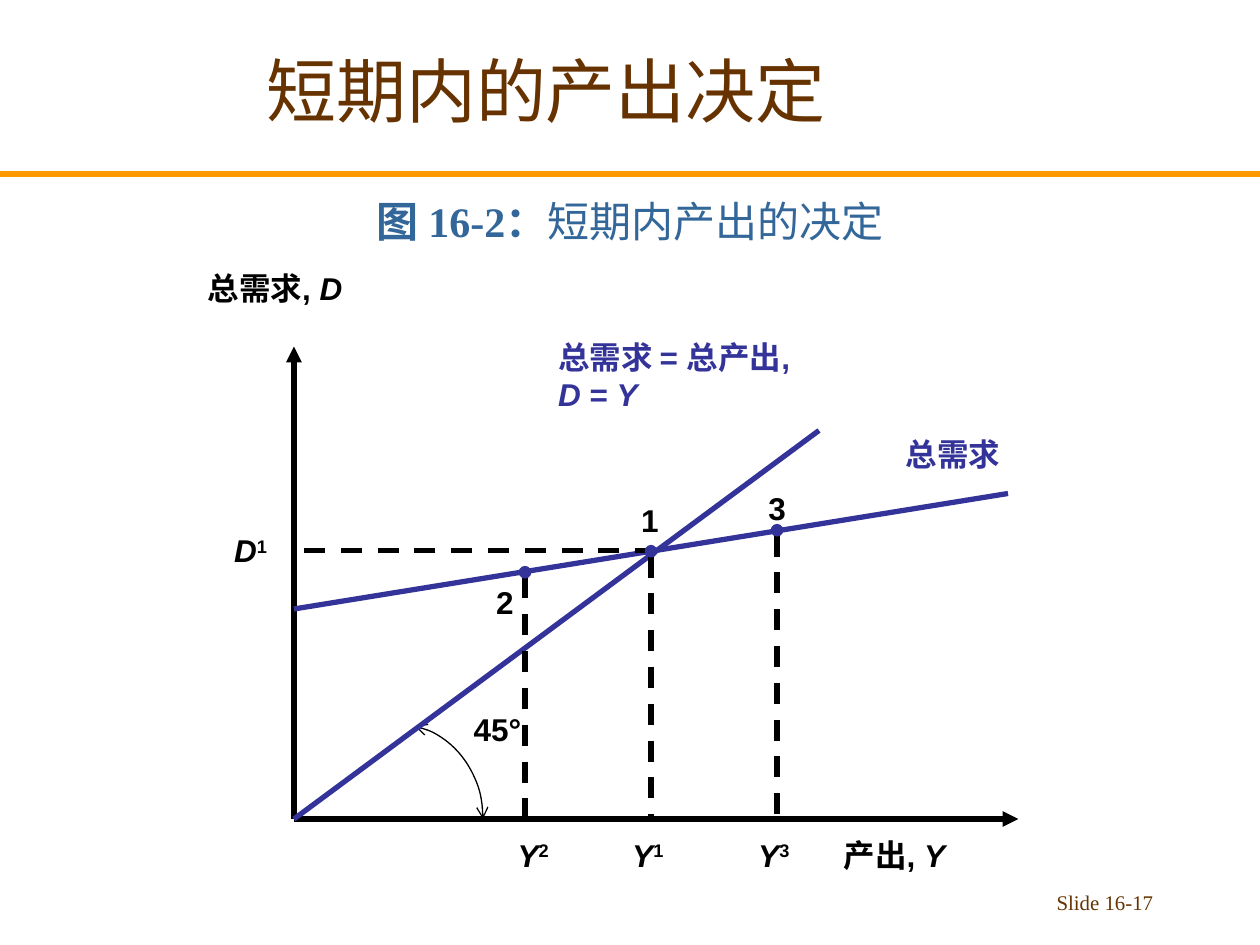
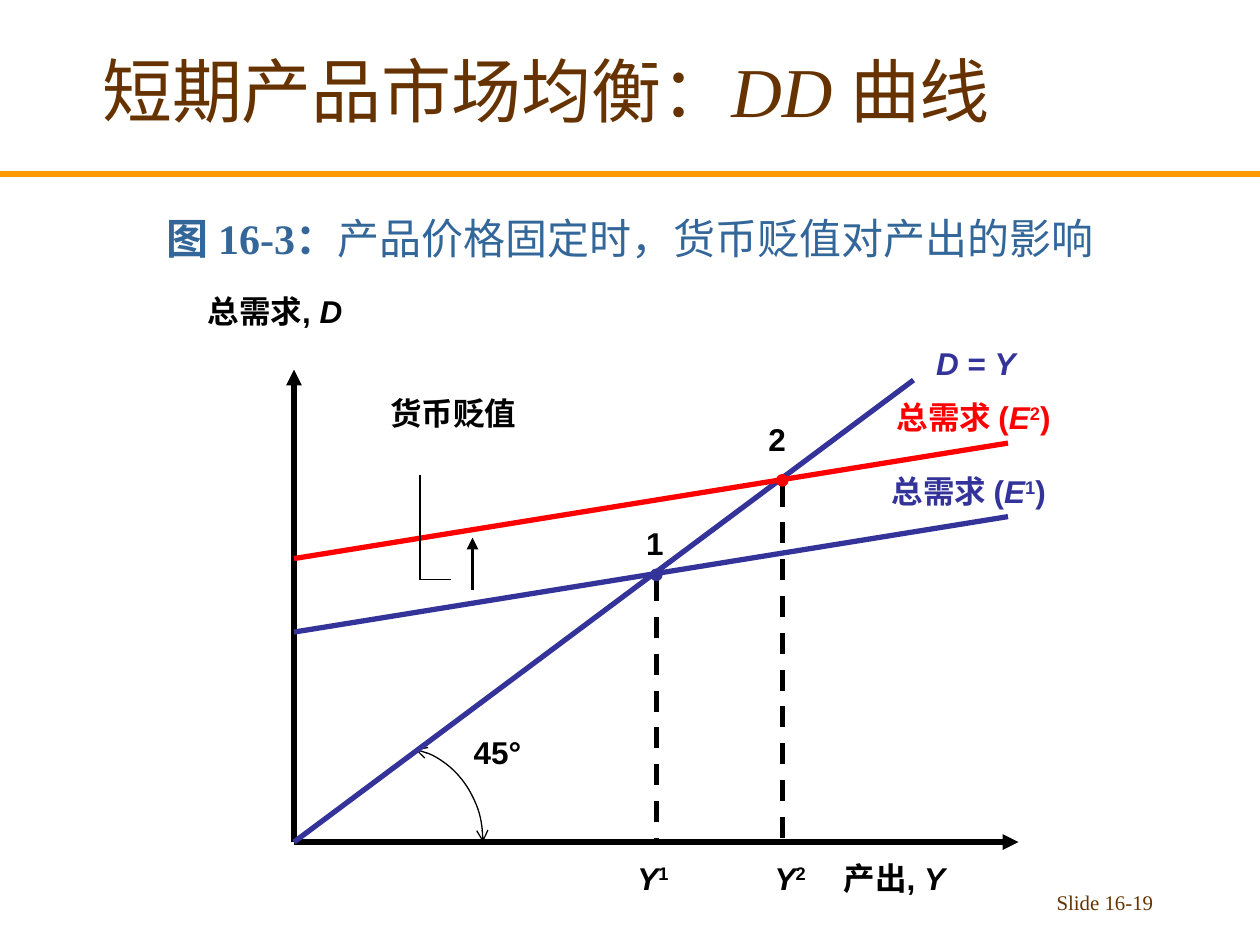
from lxml.etree import SubElement
from pptx import Presentation
from pptx.dml.color import RGBColor
from pptx.enum.dml import MSO_LINE
from pptx.enum.shapes import MSO_CONNECTOR, MSO_SHAPE
from pptx.enum.text import MSO_ANCHOR, PP_ALIGN
from pptx.oxml.ns import qn
from pptx.util import Pt

BLACK = RGBColor(0x00, 0x00, 0x00)
BROWN = RGBColor(0x66, 0x33, 0x00)
ORANGE = RGBColor(0xFF, 0x99, 0x00)
STEEL = RGBColor(0x33, 0x66, 0x99)
INDIGO = RGBColor(0x33, 0x33, 0x99)
RED = RGBColor(0xFF, 0x00, 0x00)

SERIF, SANS = "Times New Roman", "Arial"
TITLE_ONLY = 5
SLIDE_WIDTH, SLIDE_HEIGHT = 720, 540
AXIS_X, AXIS_END = 168, 582
AXIS_HEIGHT = 270
CURVE_END = 576
DOT_SIZE = 6.5
LABEL_HEIGHT = 28.8


def format_run(run, font_name, size, color, bold=False, italic=False):
    """Give a run its font, size, colour and style."""
    font = run.font
    font.name, font.size, font.bold, font.italic = font_name, Pt(size), bold, italic
    font.color.rgb = color


def add_text(slide, left, top, width, height, wrap=True):
    """Add an empty text box and return its text frame."""
    box = slide.shapes.add_textbox(Pt(left), Pt(top), Pt(width), Pt(height))
    box.text_frame.word_wrap = wrap
    return box.text_frame


def add_label(slide, left, top, width, *lines, color=BLACK):
    """Add a bold label; each line is a list of (text, style) parts."""
    frame = add_text(slide, left, top, width, LABEL_HEIGHT * len(lines), wrap=False)
    for index, parts in enumerate(lines):
        paragraph = frame.add_paragraph() if index else frame.paragraphs[0]
        for text, style in parts:
            run = paragraph.add_run()
            run.text = text
            format_run(run, SANS, 18, color, bold=True, italic=style == "italic")
            if style == "super":
                run.font._element.set("baseline", "30000")


def plain(text):
    """Return an upright label part."""
    return text, "plain"


def italic(text):
    """Return an italic label part."""
    return text, "italic"


def indexed(letter, index):
    """Return an italic letter followed by its superscript index."""
    return [italic(letter), (index, "super")]


def add_arrowhead(shape, end, kind):
    """Put an arrowhead on one end of a drawn line."""
    SubElement(shape.line._get_or_add_ln(), qn("a:" + end), type=kind)


def add_line(slide, start, end, color=BLACK, weight=3.0, dashed=False, arrow=False):
    """Draw a straight line between two points."""
    line = slide.shapes.add_connector(MSO_CONNECTOR.STRAIGHT, *map(Pt, start + end))
    line.line.color.rgb = color
    line.line.width = Pt(weight)
    if dashed:
        line.line.dash_style = MSO_LINE.DASH
    if arrow:
        add_arrowhead(line, "tailEnd", "triangle")
    SubElement(line._element.spPr, qn("a:effectLst"))


def add_dot(slide, x, y, color=INDIGO):
    """Mark an equilibrium point centred on x, y."""
    dot = slide.shapes.add_shape(
        MSO_SHAPE.OVAL, Pt(x - DOT_SIZE / 2), Pt(y - DOT_SIZE / 2), Pt(DOT_SIZE), Pt(DOT_SIZE))
    dot.shadow.inherit = False
    dot.fill.solid()
    dot.fill.fore_color.rgb = color
    dot.line.color.rgb = color
    dot.line.width = Pt(0.75)


def add_equilibrium(slide, x, y, base, number, number_at, output_left, color=INDIGO):
    """Drop a dashed line from a point to the output axis and label both."""
    add_line(slide, (x, y + 3), (x, base), dashed=True)
    add_dot(slide, x, y, color)
    add_label(slide, *number_at, 24.5, [plain(number)])
    add_label(slide, output_left, base + 6, 32.4, indexed("Y", number))


def add_angle(slide, base):
    """Draw the two-headed 45 degree arc at the origin."""
    radius_x, radius_y, center_x = 48, 54, 228
    arc = slide.shapes.add_shape(
        MSO_SHAPE.ARC, Pt(center_x - radius_x), Pt(base - radius_y),
        Pt(2 * radius_x), Pt(2 * radius_y))
    arc.adjustments[0] = 168
    arc.shadow.inherit = False
    arc.fill.background()
    arc.line.color.rgb = BLACK
    arc.line.width = Pt(0.75)
    add_arrowhead(arc, "headEnd", "arrow")
    add_arrowhead(arc, "tailEnd", "arrow")
    add_label(slide, 263.5, base - 66, 41.8, [plain("45°")])


def add_axes(slide, base):
    """Draw the demand and output axes with their names."""
    add_line(slide, (AXIS_X, base), (AXIS_X, base - AXIS_HEIGHT), arrow=True)
    add_line(slide, (AXIS_X, base), (AXIS_END, base), arrow=True)
    add_label(slide, 111.6, base - 318, 96, [plain("总需求, "), italic("D")])
    add_label(slide, 475, base + 6, 77, [plain("产出, "), italic("Y")])
    add_angle(slide, base)


def add_demand(slide, intercept, color=INDIGO):
    """Draw an aggregate demand line from its intercept."""
    add_line(slide, (AXIS_X, intercept), (CURVE_END, intercept - 66), color)


def add_figure_slide(deck, title_parts, figure, caption, caption_top, page):
    """Start a slide with its title, rule, caption and page number."""
    slide = deck.slides.add_slide(deck.slide_layouts[TITLE_ONLY])
    add_line(slide, (0, 99.5), (SLIDE_WIDTH, 99.5), ORANGE)

    title = slide.shapes.title
    title.left, title.top, title.width, title.height = Pt(6), Pt(6), Pt(612), Pt(90)
    title.text_frame.vertical_anchor = MSO_ANCHOR.MIDDLE
    heading = title.text_frame.paragraphs[0]
    heading.alignment = PP_ALIGN.CENTER
    for text, style in title_parts:
        run = heading.add_run()
        run.text = text
        format_run(run, SERIF, 40, BROWN, italic=style == "italic")

    caption_frame = add_text(slide, 0, caption_top, SLIDE_WIDTH, 42)
    caption_frame.vertical_anchor = MSO_ANCHOR.BOTTOM
    caption_line = caption_frame.paragraphs[0]
    caption_line.alignment = PP_ALIGN.CENTER
    for text, bold in ((figure, True), (caption, False)):
        run = caption_line.add_run()
        run.text = text
        format_run(run, SERIF, 24, STEEL, bold=bold)

    page_frame = add_text(slide, 516, 505, 150, 22)
    page_frame.text = "Slide " + page
    page_line = page_frame.paragraphs[0]
    page_line.alignment = PP_ALIGN.RIGHT
    format_run(page_line.runs[0], SERIF, 11.9, BROWN)
    return slide


def add_output_slide(deck):
    """Show how output is determined in the short run."""
    base = 468
    slide = add_figure_slide(
        deck, [plain("短期内的产出决定")], "图 16-2：", "短期内产出的决定", 102, "16-17")
    add_axes(slide, base)
    add_line(slide, (AXIS_X, base), (468, 246), INDIGO)
    add_label(slide, 311.8, 189.4, 165.6, [plain("总需求 = 总产出,")],
              [italic("D"), plain(" = "), italic("Y")], color=INDIGO)
    add_demand(slide, 348)
    add_label(slide, 510.5, 244.8, 68.4, [plain("总需求")], color=INDIGO)
    add_line(slide, (375, 314.6), (AXIS_X, 314.6), dashed=True)
    add_label(slide, 126.7, 300.2, 33, indexed("D", "1"))
    add_equilibrium(slide, 300, 327, base, "2", (276.5, 329.8), 288.7)
    add_equilibrium(slide, 372, 315, base, "1", (359.3, 283), 354.2)
    add_equilibrium(slide, 444, 303, base, "3", (432, 275.8), 426.2)


def add_depreciation_slide(deck):
    """Show how a currency depreciation raises output."""
    base = 481.2
    slide = add_figure_slide(
        deck, [plain("短期产品市场均衡："), italic("DD "), plain("曲线")],
        "图 16-3：", "产品价格固定时，货币贬值对产出的影响", 111.6, "16-19")
    add_axes(slide, base)
    add_line(slide, (AXIS_X, base), (522, 217.2), INDIGO)
    add_label(slide, 527.8, 193, 59.8,
              [italic("D"), plain(" = "), italic("Y")], color=INDIGO)
    demand_levels = (("1", 361.2, 502.6, 266.4, INDIGO), ("2", 319.2, 505.4, 223.9, RED))
    for rate, intercept, left, top, color in demand_levels:
        add_demand(slide, intercept, color)
        add_label(slide, left, top, 107.3,
                  [plain("总需求 (")] + indexed("E", rate) + [plain(")")], color=color)
    add_equilibrium(slide, 375, 328.5, base, "1", (362.2, 296), 357.1)
    add_equilibrium(slide, 447, 274.5, base, "2", (432, 236.2), 435.6, RED)

    add_label(slide, 216, 221.8, 86.4, [plain("货币贬值")])
    add_line(slide, (240, 271.2), (240, 331.2), weight=0.75)
    add_line(slide, (240, 331.2), (258, 331.2), weight=0.75)
    add_line(slide, (270, 337.2), (270, 307.2), weight=2.25, arrow=True)


def main():
    """Build the two figure slides and save the deck."""
    deck = Presentation()
    deck.slide_width, deck.slide_height = Pt(SLIDE_WIDTH), Pt(SLIDE_HEIGHT)
    add_output_slide(deck)
    add_depreciation_slide(deck)
    deck.save("out.pptx")


if __name__ == "__main__":
    main()
